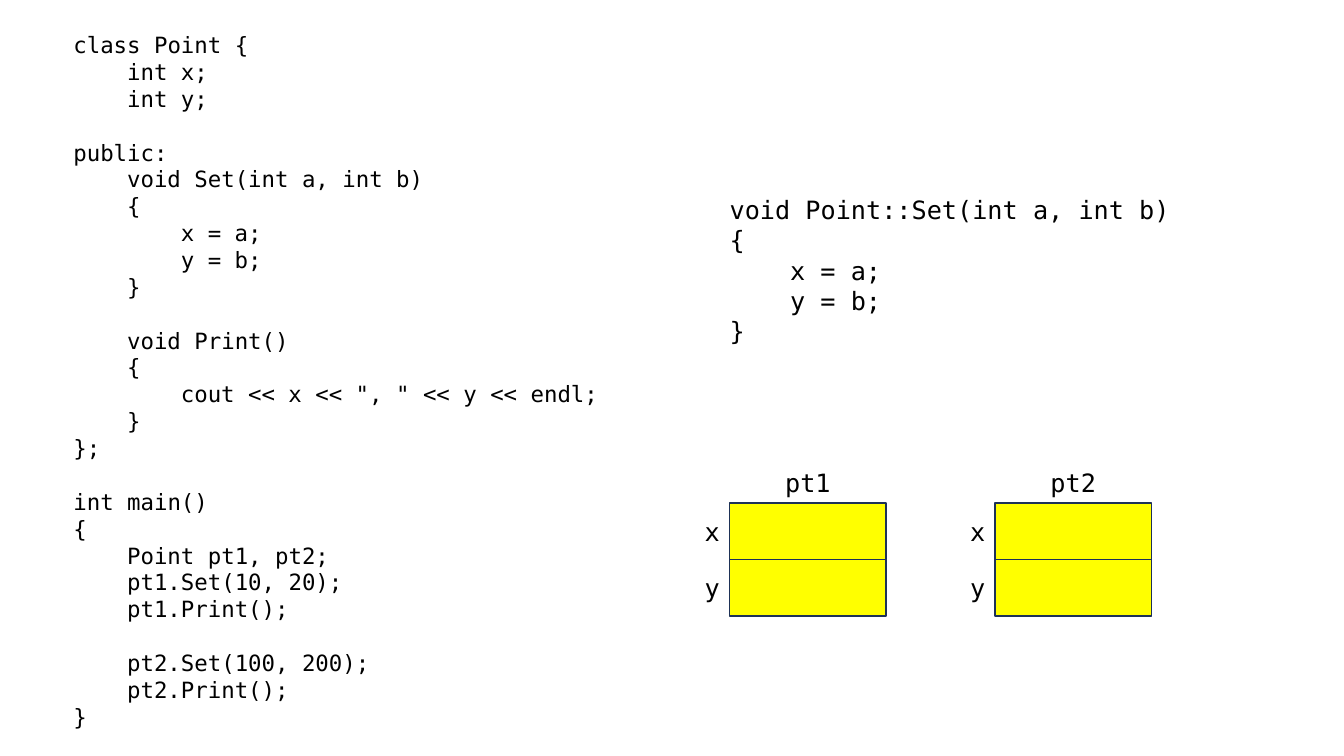
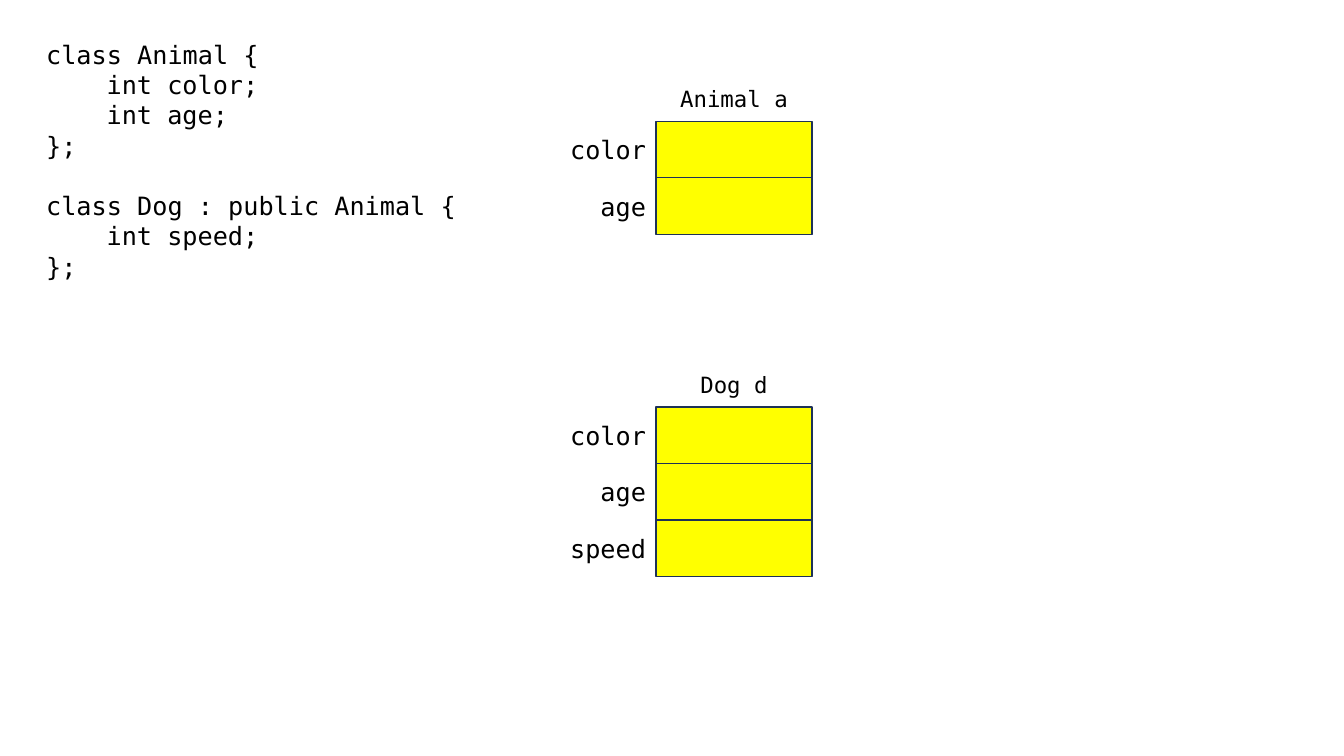
"""Build two slides that pair C++ classes with the memory layout of their objects."""
from pptx import Presentation
from pptx.dml.color import RGBColor
from pptx.enum.shapes import MSO_SHAPE
from pptx.enum.text import MSO_AUTO_SIZE, PP_ALIGN
from pptx.util import Pt

POINT_CLASS = """class Point {
    int x;
    int y;

public:
    void Set(int a, int b)
    {
        x = a;
        y = b;
    }

    void Print()
    {
        cout << x << ", " << y << endl;
    }
};

int main()
{
    Point pt1, pt2;
    pt1.Set(10, 20);
    pt1.Print();

    pt2.Set(100, 200);
    pt2.Print();
}"""
POINT_SET = """    void Point::Set(int a, int b)
    {
        x = a;
        y = b;
    }"""
ANIMAL_CLASSES = """class Animal {
    int color;
    int age;
};

class Dog : public Animal {
    int speed;
};"""

SLIDES = [
    {
        "listings": [
            {"code": POINT_CLASS, "left": 45.36, "top": 18.72, "width": 411.12, "size": 16},
            {"code": POINT_SET, "left": 470.88, "top": 135.36, "width": 480.24, "size": 18},
        ],
        "objects": [
            {"title": "pt1", "fields": ["x", "y"], "left": 521.28, "top": 359.28},
            {"title": "pt2", "fields": ["x", "y"], "left": 710.8, "top": 359.28},
        ],
        "title_size": 18, "title_width": 53.28, "label_width": 41.04,
    },
    {
        "listings": [
            {"code": ANIMAL_CLASSES, "left": 25.92, "top": 24.48, "width": 480.24, "size": 18},
        ],
        "objects": [
            {"title": "Animal a", "fields": ["color", "age"], "left": 468.5, "top": 86.6},
            {"title": "Dog d", "fields": ["color", "age", "speed"], "left": 468.5, "top": 290.7},
        ],
        "title_size": 16, "title_width": 91.44, "label_width": 79.2,
    },
]

COLORS = {"text": "000000", "cell": "FFFF00", "border": "1E3256"}
FONT = "DejaVu Sans Mono"
LEFT, CENTER, RIGHT = PP_ALIGN.LEFT, PP_ALIGN.CENTER, PP_ALIGN.RIGHT
GROW = MSO_AUTO_SIZE.SHAPE_TO_FIT_TEXT
RECTANGLE = MSO_SHAPE.RECTANGLE
CELL_WIDTH, CELL_HEIGHT = 111.6, 40.4
TITLE_RISE = 29.3
LABEL_SIZE = 18
LINE_RATIO, CHARACTER_RATIO = 1.2, 0.6
PADDING = 7.2


def color(name):
    return RGBColor.from_string(COLORS[name])


def box_height(size, lines=1):
    return size * LINE_RATIO * lines + PADDING


def add_text(page, text, left, top, width, size, align=LEFT):
    lines = text.split("\n")
    height = box_height(size, len(lines))
    box = page.shapes.add_textbox(Pt(left), Pt(top), Pt(width), Pt(height))
    frame = box.text_frame
    frame.word_wrap, frame.auto_size = True, GROW
    pitch = Pt(size * LINE_RATIO)
    para, gap = frame.paragraphs[0], Pt(0)
    for number, line in enumerate(lines):
        words = line.lstrip()
        if not words:
            gap = pitch
            continue
        if number:
            para = frame.add_paragraph()
        layout = {"alignment": align, "line_spacing": pitch, "space_before": gap}
        for name, value in layout.items():
            setattr(para, name, value)
        indent = Pt((len(line) - len(words)) * size * CHARACTER_RATIO)
        para._p.get_or_add_pPr().set("marL", str(indent))
        span = para.add_run()
        span.text = words
        for name, value in {"name": FONT, "size": Pt(size)}.items():
            setattr(span.font, name, value)
        span.font.color.rgb = color("text")
        gap = Pt(0)


def add_cell(page, left, top):
    cell = page.shapes.add_shape(RECTANGLE, Pt(left), Pt(top), Pt(CELL_WIDTH), Pt(CELL_HEIGHT))
    cell.shadow.inherit = False
    cell.fill.solid()
    cell.fill.fore_color.rgb = color("cell")
    cell.line.color.rgb = color("border")
    cell.line.width = Pt(1)


def add_object(page, item, title_size, title_width, label_width):
    left, top = item["left"], item["top"]
    title_left = left + (CELL_WIDTH - title_width) / 2
    add_text(page, item["title"], title_left, top - TITLE_RISE, title_width, title_size, CENTER)
    label_drop = (CELL_HEIGHT - box_height(LABEL_SIZE)) / 2
    for row, field in enumerate(item["fields"]):
        cell_top = top + row * CELL_HEIGHT
        add_cell(page, left, cell_top)
        add_text(page, field, left - label_width, cell_top + label_drop,
                 label_width, LABEL_SIZE, RIGHT)


deck = Presentation()
deck.slide_width, deck.slide_height = Pt(960), Pt(540)
blank = deck.slide_layouts[6]
for content in SLIDES:
    page = deck.slides.add_slide(blank)
    for listing in content["listings"]:
        add_text(page, listing["code"], listing["left"], listing["top"],
                 listing["width"], listing["size"])
    for item in content["objects"]:
        add_object(page, item, content["title_size"], content["title_width"],
                   content["label_width"])
deck.save("out.pptx")
